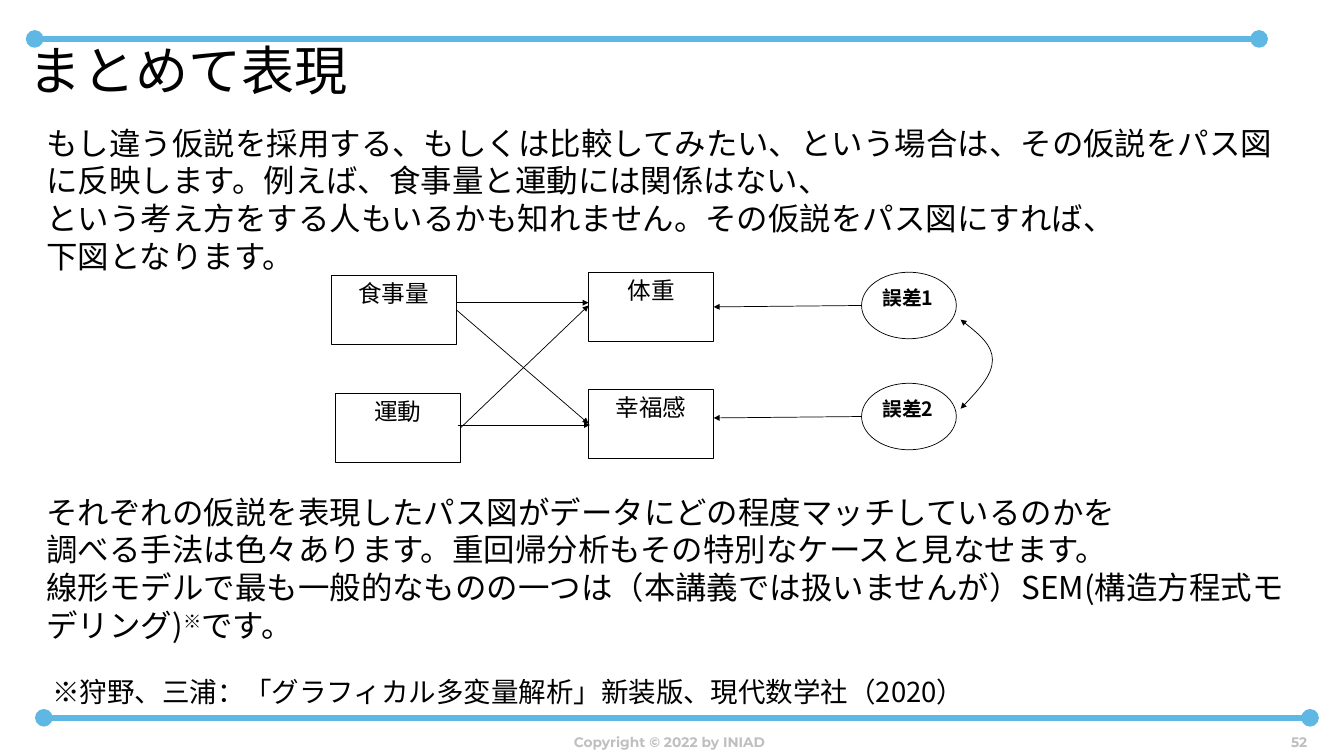
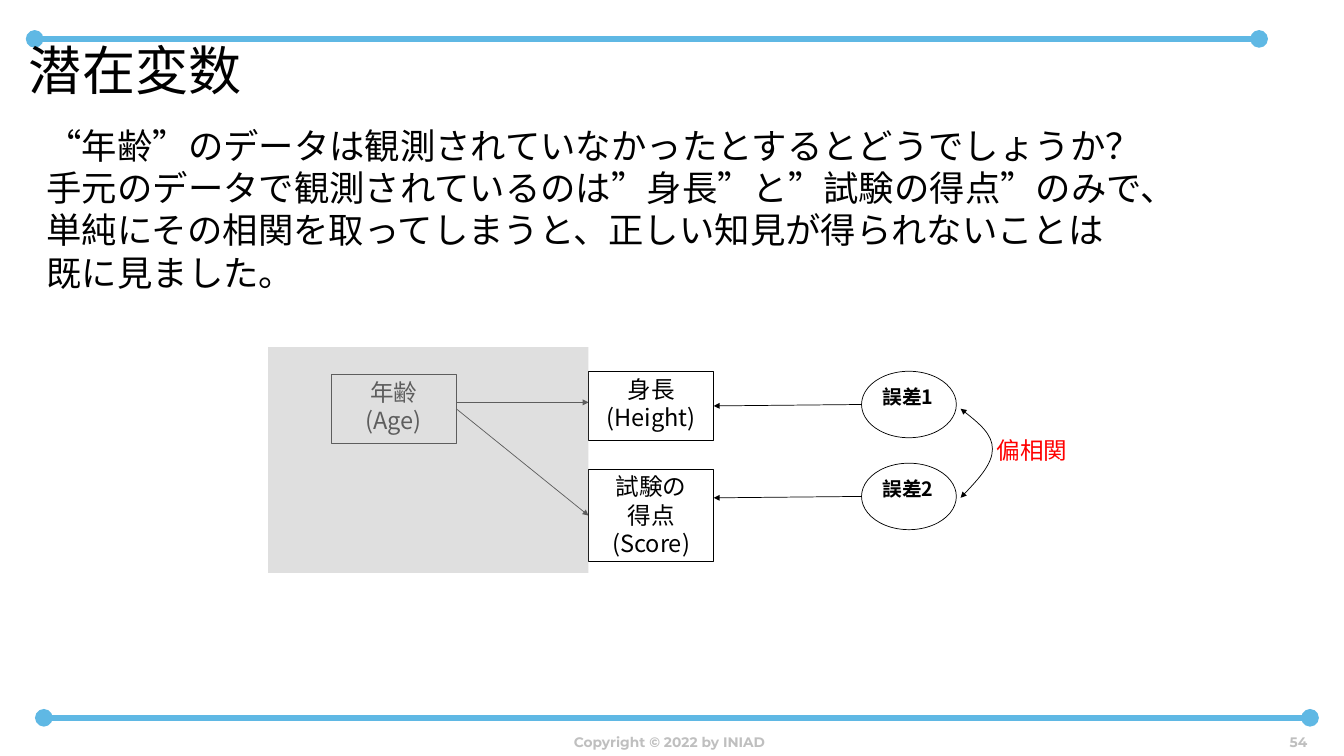
from dataclasses import dataclass

from lxml.etree import SubElement
from pptx import Presentation
from pptx.dml.color import RGBColor
from pptx.enum.shapes import MSO_CONNECTOR, MSO_SHAPE
from pptx.enum.text import MSO_ANCHOR as Anchor, MSO_AUTO_SIZE as Fit, PP_ALIGN as Align
from pptx.oxml.ns import qn
from pptx.util import Inches, Pt


@dataclass(frozen=True)
class Theme:
    ink: str = "000000"
    paper: str = "FFFFFF"
    band: str = "5FB8E4"
    muted: str = "BFBFBF"
    accent: str = "FF0000"
    heading_font: str = "League Spartan"
    body_font: str = "Noto Sans CJK JP"
    footer_font: str = "Montserrat"
    heading: int = 54
    variable: int = 24
    error: int = 20
    citation: int = 28
    footer: int = 14
    thin: float = 0.75
    thick: int = 6
    leading: float = 1.2
    veil: int = 49


THEME = Theme()
SLIDE_SIZE = (19, 10.69)
BANDS = [((0.49, 0.55), (17.8, 0.55)), ((0.62, 10.15), (18.52, 10.15))]
TITLE_BOX = (0.41, 0.53, 17.39, 1.55)
COPYRIGHT_BOX = (0.44, 10.15, 18.05, 0.51)
NUMBER_BOX = (17.54, 10.16, 1.04, 0.5)
COPYRIGHT = "Copyright © 2022 by INIAD"

CAUSE_X, RESULT_X, ERROR_X = 4.68, 8.32, 12.18
BOX_W, BOX_H = 1.77, 0.98
ERROR_W, ERROR_H = 1.34, 0.94
CAUSE_RIGHT, RESULT_RIGHT = CAUSE_X + BOX_W, RESULT_X + BOX_W
ARC = [(13.58, 1.26), (13.81, 1.02), (14.03, 0.78), (14.03, 0.57),
       (14.03, 0.36), (13.81, 0.18), (13.58, 0)]

SLIDES = [
    {
        "title": "まとめて表現",
        "number": "52",
        "texts": [
            {"box": (0.56, 1.7, 17.76, 2.26), "size": 32, "lines": [
                "もし違う仮説を採用する、もしくは比較してみたい、という場合は、その仮説をパス図に反映します。"
                "例えば、食事量と運動には関係はない、",
                "という考え方をする人もいるかも知れません。その仮説をパス図にすれば、",
                "下図となります。"]},
            {"box": (0.56, 6.92, 17.76, 2.26), "size": 32, "lines": [
                "それぞれの仮説を表現したパス図がデータにどの程度マッチしているのかを",
                "調べる手法は色々あります。重回帰分析もその特別なケースと見なせます。",
                ("線形モデルで最も一般的なものの一つは（本講義では扱いませんが）SEM(構造方程式モデリング)",
                 "※", "です。")]},
            {"box": (0.64, 9.5, 17.55, 0.57), "size": THEME.citation, "after": 12, "lines": [
                "※狩野、三浦：「グラフィカル多変量解析」新装版、現代数学社（2020）"]},
        ],
        "variables": [
            (CAUSE_X, 3.89, BOX_H, ["食事量"]),
            (RESULT_X, 3.85, BOX_H, ["体重"]),
            (RESULT_X, 5.5, BOX_H, ["幸福感"]),
            (4.74, 5.56, BOX_H, ["運動"]),
        ],
        "errors": [(3.85, "誤差1"), (5.42, "誤差2")],
        "paths": [
            ((CAUSE_RIGHT, 4.28), (RESULT_X, 4.28)),
            ((CAUSE_RIGHT, 4.38), (RESULT_X, 5.99)),
            ((6.51, 6.05), (RESULT_X, 4.32)),
            ((6.47, 6.01), (8.34, 6.01)),
        ],
        "arc_top": 4.52,
    },
    {
        "title": "潜在変数",
        "number": "54",
        "texts": [
            {"box": (0.56, 1.7, 17.76, 2.52), "size": 36, "lines": [
                "“年齢”のデータは観測されていなかったとするとどうでしょうか？",
                "手元のデータで観測されているのは”身長”と”試験の得点”のみで、",
                "単純にその相関を取ってしまうと、正しい知見が得られないことは",
                "既に見ました。"]},
            {"box": (13.99, 6.12, 1.21, 0.5), "size": THEME.variable,
             "color": THEME.accent, "wrap": False, "lines": ["偏相関"]},
        ],
        "variables": [
            (CAUSE_X, 5.29, BOX_H, ["年齢", "(Age)"]),
            (RESULT_X, 5.25, BOX_H, ["身長", "(Height)"]),
            (RESULT_X, 6.63, 1.31, ["試験の", "得点", "(Score)"]),
        ],
        "errors": [(5.25, "誤差1"), (6.55, "誤差2")],
        "paths": [
            ((CAUSE_RIGHT, 5.69), (RESULT_X, 5.69)),
            ((CAUSE_RIGHT, 5.78), (RESULT_X, 7.29)),
        ],
        "arc_top": 5.78,
        "hidden_area": (3.79, 4.91, 4.53, 3.19),
    },
]


def apply(target, values):
    for name, value in values.items():
        setattr(target, name, value)


def lengths(values):
    return [Inches(value) for value in values]


def write(frame, lines, size, font=THEME.body_font, color=THEME.ink, bold=False,
          align=Align.LEFT, leading=THEME.leading, after=0, **frame_format):
    apply(frame, {"word_wrap": True, "vertical_anchor": Anchor.TOP, **frame_format})
    for index, line in enumerate(lines):
        paragraph = frame.paragraphs[0] if index == 0 else frame.add_paragraph()
        apply(paragraph, {"alignment": align, "space_after": Pt(after),
                          "line_spacing": Pt(round(size * leading, 1)) if leading else None})
        for part in [line] if isinstance(line, str) else line:
            run = paragraph.add_run()
            run.text = part
            apply(run.font, {"size": Pt(size), "name": font, "bold": bold})
            run.font.color.rgb = RGBColor.from_string(color)
            properties = run.font._element
            SubElement(properties, qn("a:ea"), typeface=THEME.body_font)
            if part == "※":
                properties.set("baseline", "30000")


def add_text(slide, box, lines, size, **style):
    write(slide.shapes.add_textbox(*lengths(box)).text_frame, lines, size, **style)


def stroke(shape, color=THEME.ink, width=THEME.thin, head=None, tail=None):
    shape.line.color.rgb = RGBColor.from_string(color)
    shape.line.width = Pt(width)
    outline = shape.line._get_or_add_ln()
    for end, kind in (("a:headEnd", head), ("a:tailEnd", tail)):
        if kind:
            SubElement(outline, qn(end), type=kind)


def add_line(slide, start, end, **style):
    line = slide.shapes.add_connector(MSO_CONNECTOR.STRAIGHT, *lengths(start + end))
    stroke(line, **style)
    SubElement(line._element.spPr, qn("a:effectLst"))


def add_node(slide, preset, box, lines, size, **style):
    node = slide.shapes.add_shape(preset, *lengths(box))
    node.shadow.inherit = False
    node.fill.solid()
    node.fill.fore_color.rgb = RGBColor.from_string(THEME.paper)
    stroke(node)
    write(node.text_frame, lines, size, **style)


def add_arc(slide, top):
    points = [(Inches(x), Inches(top + drop)) for x, drop in ARC]
    builder = slide.shapes.build_freeform(*points[0])
    builder.add_line_segments(points[1:], close=False)
    arc = builder.convert_to_shape()
    arc.shadow.inherit = False
    arc.fill.background()
    stroke(arc, head="triangle", tail="triangle")
    outline = arc._element.find(".//" + qn("a:path"))
    segments = outline.findall(qn("a:lnTo"))
    for first in range(0, len(segments), 3):
        curve = SubElement(outline, qn("a:cubicBezTo"))
        for segment in segments[first:first + 3]:
            curve.append(segment[0])
            outline.remove(segment)


def add_veil(slide, box):
    veil = slide.shapes.add_shape(MSO_SHAPE.RECTANGLE, *lengths(box))
    veil.shadow.inherit = False
    veil.line.fill.background()
    veil.fill.solid()
    veil.fill.fore_color.rgb = RGBColor.from_string(THEME.muted)
    color = veil._element.spPr.find(".//" + qn("a:srgbClr"))
    SubElement(color, qn("a:alpha"), val=str(THEME.veil * 1000))


def add_frame(slide, title, number):
    for start, end in BANDS:
        add_line(slide, start, end, color=THEME.band, width=THEME.thick, head="oval", tail="oval")
    margins = dict.fromkeys(("margin_left", "margin_top", "margin_right", "margin_bottom"), 0)
    add_text(slide, TITLE_BOX, [title], THEME.heading, font=THEME.heading_font, **margins)
    for box, words, align in ((COPYRIGHT_BOX, COPYRIGHT, Align.CENTER),
                              (NUMBER_BOX, number, Align.RIGHT)):
        add_text(slide, box, [words], THEME.footer, font=THEME.footer_font, color=THEME.muted,
                 bold=True, align=align, leading=None, vertical_anchor=Anchor.BOTTOM)


def add_diagram(slide, content):
    for left, top, height, lines in content["variables"]:
        add_node(slide, MSO_SHAPE.RECTANGLE, (left, top, BOX_W, height), lines,
                 THEME.variable, align=Align.CENTER)
    for top, name in content["errors"]:
        add_node(slide, MSO_SHAPE.OVAL, (ERROR_X, top, ERROR_W, ERROR_H), [name],
                 THEME.error, bold=True)
        middle = top + ERROR_H / 2
        add_line(slide, (ERROR_X, middle), (RESULT_RIGHT, middle + 0.02), tail="triangle")
    for start, end in content["paths"]:
        add_line(slide, start, end, tail="triangle")
    add_arc(slide, content["arc_top"])


def main():
    deck = Presentation()
    deck.slide_width, deck.slide_height = lengths(SLIDE_SIZE)
    for content in SLIDES:
        slide = deck.slides.add_slide(deck.slide_layouts[6])
        add_frame(slide, content["title"], content["number"])
        add_diagram(slide, content)
        for text in content["texts"]:
            add_text(slide, text["box"], text["lines"], text["size"],
                     color=text.get("color", THEME.ink), after=text.get("after", 0),
                     word_wrap=text.get("wrap", True), auto_size=Fit.SHAPE_TO_FIT_TEXT)
        if "hidden_area" in content:
            add_veil(slide, content["hidden_area"])
    deck.save("out.pptx")


if __name__ == "__main__":
    main()
